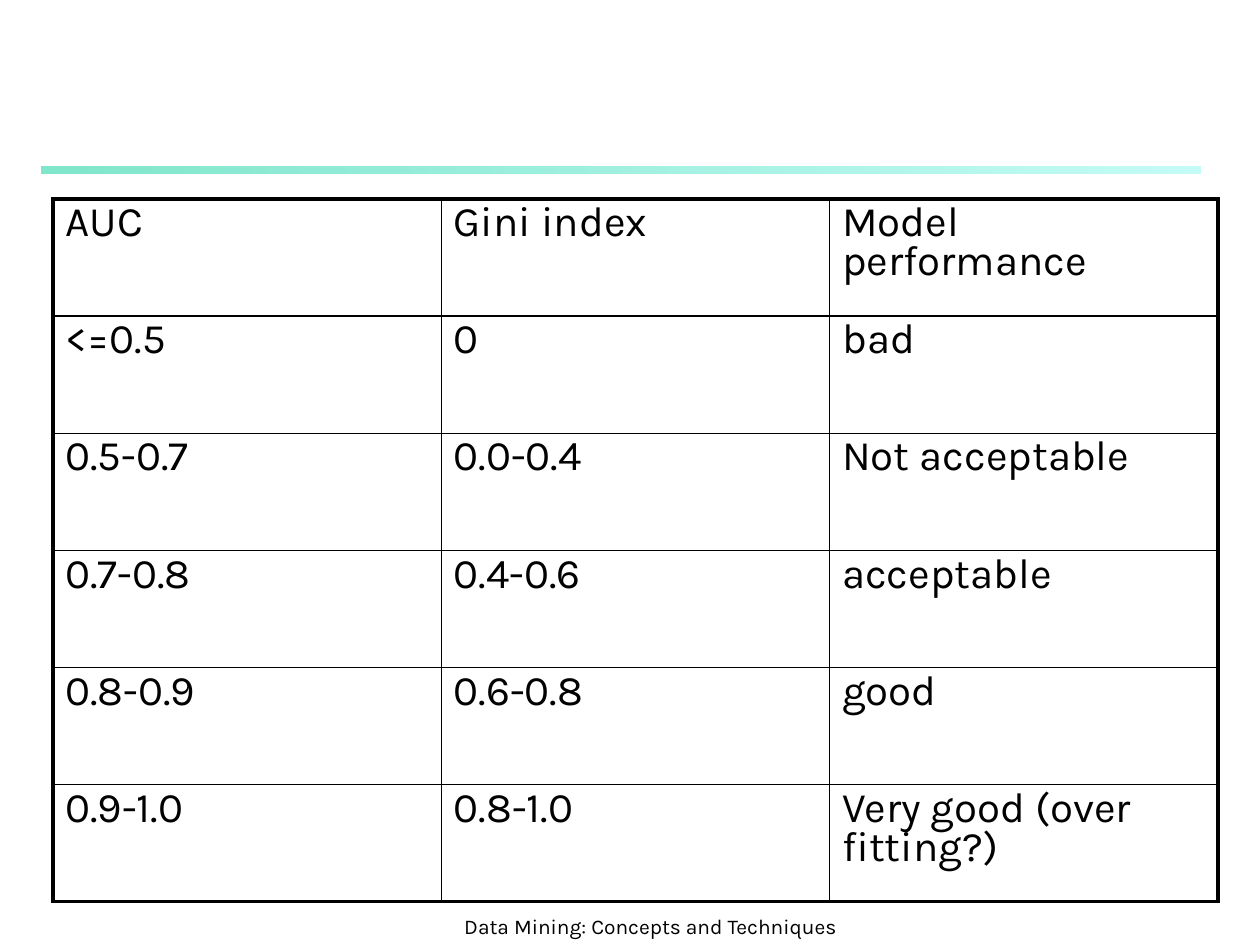
from lxml import etree
from pptx import Presentation
from pptx import util as u
from pptx.dml.color import RGBColor
from pptx.enum import shapes, text
from pptx.oxml.ns import qn

PX = 914400 / 126
FONT = "Karla"
BLACK = RGBColor(0, 0, 0)
GREEN = RGBColor(0x00, 0xCE, 0x98)
AQUA = RGBColor(0x8F, 0xF9, 0xEF)
THIN, THICK = 1, 2.25

RATINGS = [
    ("AUC", "Gini index", "Model performance"),
    ("<=0.5", "0", "bad"),
    ("0.5-0.7", "0.0-0.4", "Not acceptable"),
    ("0.7-0.8", "0.4-0.6", "acceptable"),
    ("0.8-0.9", "0.6-0.8", "good"),
    ("0.9-1.0", "0.8-1.0", "Very good (over fitting?)"),
]


def emu(*lengths):
    return [u.Emu(round(length * PX)) for length in lengths]


def add_run(paragraph, words, size):
    run = paragraph.add_run()
    run.text = words
    run.font.name = FONT
    run.font.size = u.Pt(size)
    run.font.color.rgb = BLACK


def add_rule(slide, box):
    """Translucent gradient bar under the title area."""
    rule = slide.shapes.add_shape(shapes.MSO_SHAPE.RECTANGLE, *emu(*box))
    rule.shadow.inherit = False
    rule.line.fill.background()
    rule.fill.gradient()
    rule.fill.gradient_angle = 0
    for stop, colour in zip(rule.fill.gradient_stops, (GREEN, AQUA)):
        stop.color.rgb = colour
    for colour, alpha in zip(rule._element.spPr.iter(qn("a:srgbClr")), (50, 52)):
        etree.SubElement(colour, qn("a:alpha"), val=str(alpha * 1000))


def set_borders(cell, widths):
    properties = cell._tc.get_or_add_tcPr()
    for side, width in widths.items():
        line = etree.SubElement(properties, qn("a:ln" + side), w=str(u.Pt(width)))
        fill = etree.SubElement(line, qn("a:solidFill"))
        etree.SubElement(fill, qn("a:srgbClr"), val=str(BLACK))


def add_ratings(slide, box):
    """Model ratings: thick outer frame, thin inner grid."""
    row_count, column_count = len(RATINGS), len(RATINGS[0])
    table = slide.shapes.add_table(row_count, column_count, *emu(*box)).table
    table.first_row = table.horz_banding = False
    for r, row in enumerate(RATINGS):
        for c, words in enumerate(row):
            cell = table.cell(r, c)
            set_borders(cell, {
                "L": THICK if c == 0 else THIN,
                "R": THICK if c == column_count - 1 else THIN,
                "T": THICK if r == 0 else THIN,
                "B": THICK if r == row_count - 1 else THIN,
            })
            cell.fill.background()
            paragraph = cell.text_frame.paragraphs[0]
            paragraph.line_spacing = 0.8
            # Space before as a share of the text size
            before = etree.SubElement(paragraph._p.get_or_add_pPr(), qn("a:spcBef"))
            etree.SubElement(before, qn("a:spcPct"), val="20000")
            add_run(paragraph, words, 24)


def add_footer(slide, box):
    frame = slide.shapes.add_textbox(*emu(*box)).text_frame
    frame.word_wrap = True
    frame.vertical_anchor = text.MSO_ANCHOR.BOTTOM
    paragraph = frame.paragraphs[0]
    paragraph.alignment = text.PP_ALIGN.CENTER
    add_run(paragraph, "Data Mining: Concepts and Techniques", 12)


def main():
    deck = Presentation()
    deck.slide_width, deck.slide_height = emu(1260, 945)
    slide = deck.slides.add_slide(deck.slide_layouts[6])
    add_rule(slide, (42, 167, 1159, 7))
    add_footer(slide, (451, 892, 399, 53))
    add_ratings(slide, (53, 199, 1165, 703))
    deck.save("out.pptx")


if __name__ == "__main__":
    main()
